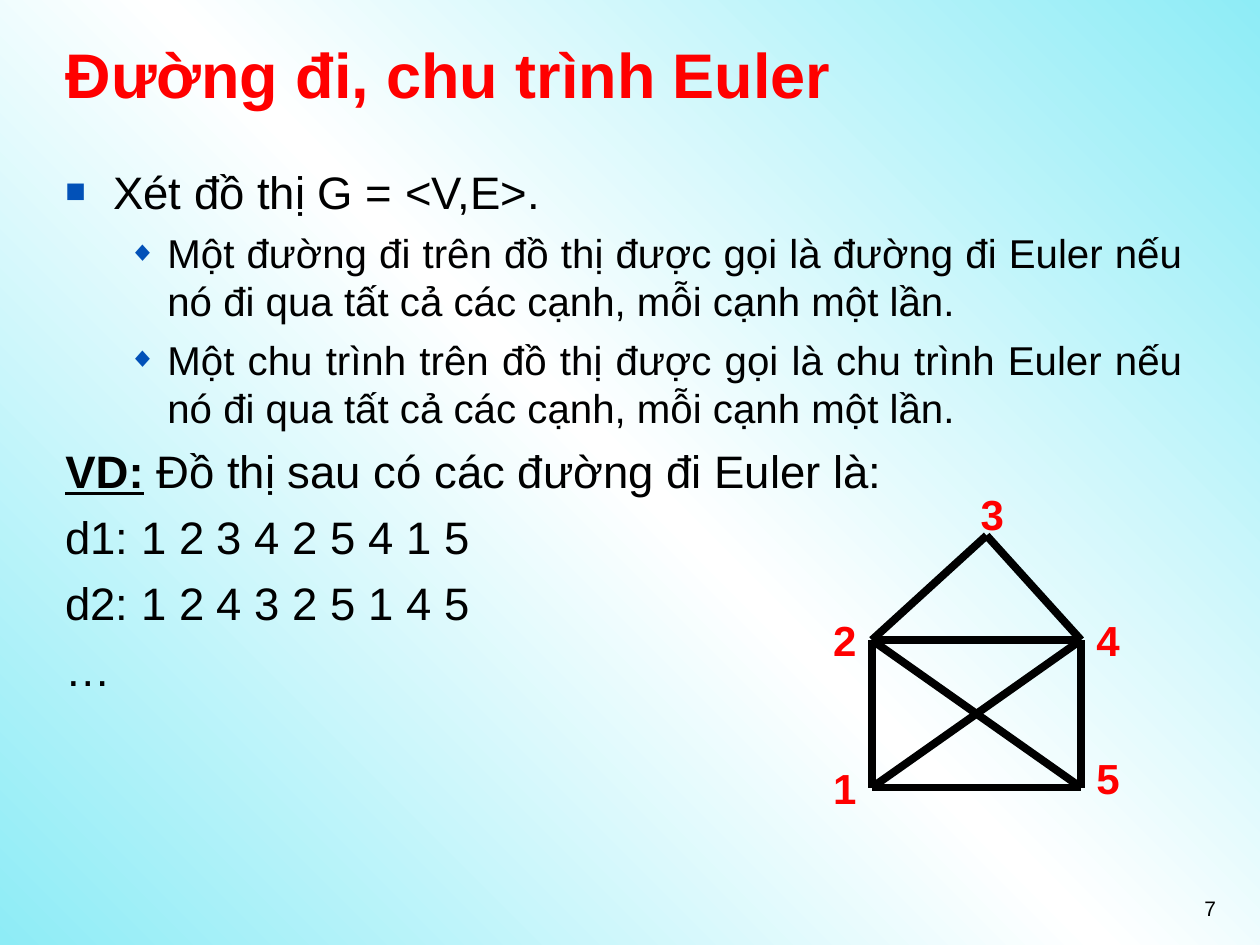
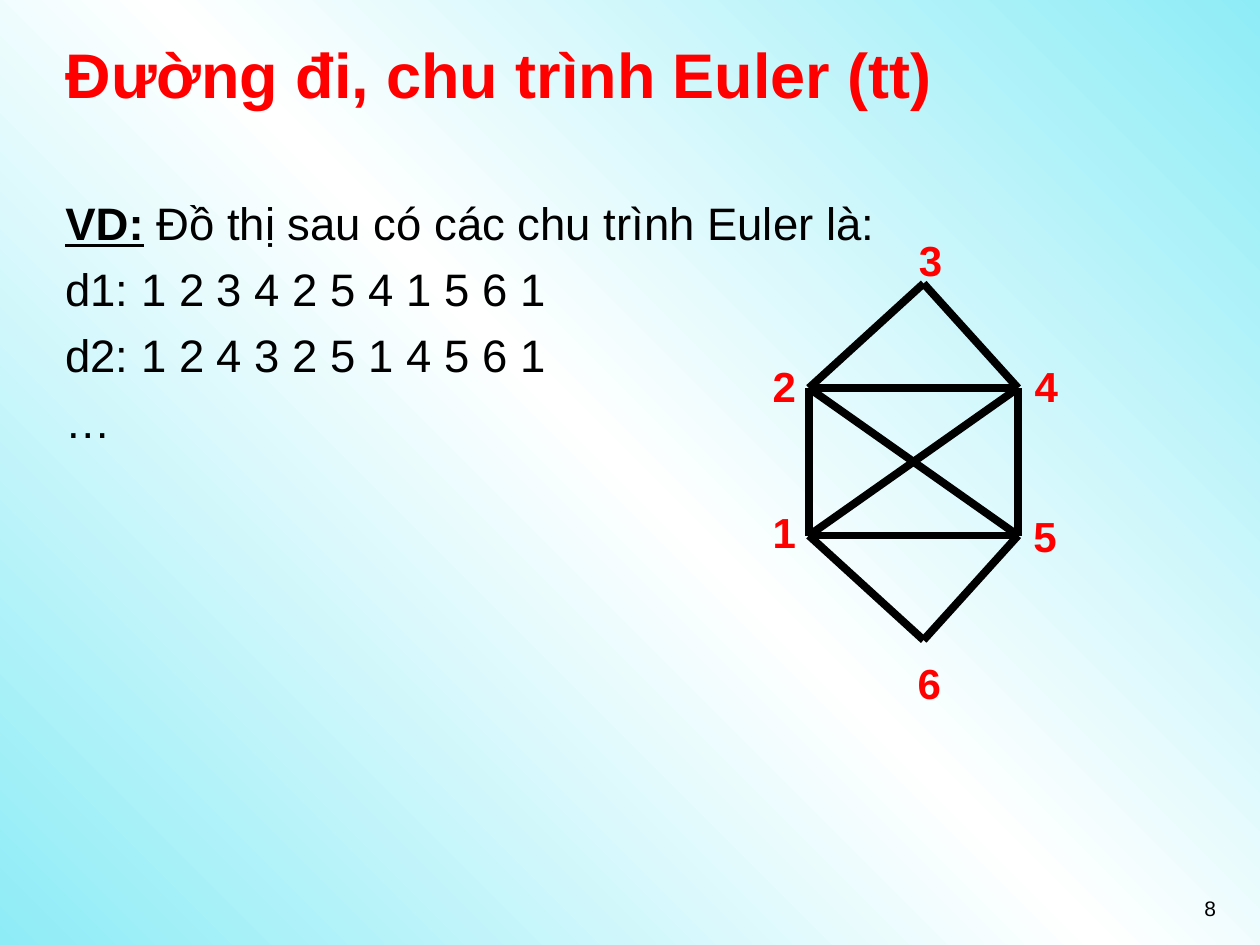
from copy import deepcopy
from dataclasses import dataclass

from lxml import etree
from pptx import Presentation
from pptx import util as u
from pptx.dml.color import RGBColor
from pptx.enum import shapes, text
from pptx.oxml.ns import qn


@dataclass(frozen=True)
class Theme:
    font: str = "Arial"
    red: str = "FF0000"
    black: str = "000000"
    bullet: str = "0251B8"
    cyan: str = "8EECF6"
    white: str = "FFFFFF"
    title_size: int = 36
    body_size: int = 26
    detail_size: int = 23
    vertex_size: int = 24
    number_size: int = 12
    edge_width: float = 4.5


theme = Theme()


def add_run(paragraph, wording, size, color, bold=False, underline=False):
    run = paragraph.add_run()
    run.text = wording
    font = run.font
    font.name, font.size = theme.font, u.Pt(size)
    font.bold, font.underline = bold, underline
    font.color.rgb = RGBColor.from_string(color)


def add_text_box(slide, left, top, width, height):
    box = slide.shapes.add_textbox(u.Inches(left), u.Inches(top), u.Inches(width), u.Inches(height))
    box.text_frame.word_wrap = True
    return box.text_frame


PLAIN = (theme.body_size, 0.38, -0.38, 6.5, None, None)
SQUARE = (theme.body_size, 0.38, -0.38, 6.5, "■", 75)
DIAMOND = (theme.detail_size, 0.81, -0.31, 5.8, "◆", 70)

VERTICES = {1: (0, 1.17), 2: (0, 0), 3: (0.91, -0.83), 4: (1.66, 0), 5: (1.66, 1.17), 6: (0.91, 2)}
HOUSE_EDGES = [(2, 1), (4, 5), (1, 5), (2, 4), (4, 3), (2, 3), (1, 4), (2, 5)]

slides = [
    {
        "title": "Đường đi, chu trình Euler",
        "number": "7",
        "body_top": 1.25,
        "body": [
            (SQUARE, "", "Xét đồ thị G = <V,E>."),
            (DIAMOND, "", "Một đường đi trên đồ thị được gọi là đường đi Euler nếu "
                          "nó đi qua tất cả các cạnh, mỗi cạnh một lần."),
            (DIAMOND, "", "Một chu trình trên đồ thị được gọi là chu trình Euler nếu "
                          "nó đi qua tất cả các cạnh, mỗi cạnh một lần."),
            (PLAIN, "VD:", " Đồ thị sau có các đường đi Euler là:"),
            (PLAIN, "", "d1: 1 2 3 4 2 5 4 1 5"),
            (PLAIN, "", "d2: 1 2 4 3 2 5 1 4 5"),
            (PLAIN, "", "…"),
        ],
        "graph_origin": (6.92, 5.08),
        "edges": HOUSE_EDGES,
        "labels": {1: (6.33, 6), 2: (6.33, 4.83), 3: (7.5, 3.83), 4: (8.42, 4.83), 5: (8.42, 5.92)},
    },
    {
        "title": "Đường đi, chu trình Euler (tt)",
        "number": "8",
        "body_top": 1.5,
        "body": [
            (PLAIN, "VD:", " Đồ thị sau có các chu trình Euler là:"),
            (PLAIN, "", "d1: 1 2 3 4 2 5 4 1 5 6 1"),
            (PLAIN, "", "d2: 1 2 4 3 2 5 1 4 5 6 1"),
            (PLAIN, "", "…"),
        ],
        "graph_origin": (6.42, 3.08),
        "edges": HOUSE_EDGES + [(5, 6), (1, 6)],
        "labels": {1: (5.85, 3.97), 2: (5.85, 2.81), 3: (7.01, 1.81), 4: (7.93, 2.81),
                   5: (7.92, 4), 6: (7, 5.17)},
    },
]

presentation = Presentation()
presentation.slide_width, presentation.slide_height = u.Inches(10), u.Inches(7.5)

master = presentation.slide_master
background = master.background.fill
background.gradient()
background.gradient_angle = 45
stop_list = master.element.xpath(".//p:bg//a:gsLst")[0]
stop_list.append(deepcopy(stop_list[0]))
for stop, position, color in zip(background.gradient_stops, (0, 0.5, 1),
                                 (theme.cyan, theme.white, theme.cyan)):
    stop.position = position
    stop.color.rgb = RGBColor.from_string(color)

for content in slides:
    slide = presentation.slides.add_slide(presentation.slide_layouts[5])

    title = slide.shapes.title
    title.left, title.top = u.Inches(0.42), u.Inches(0.17)
    title.width, title.height = u.Inches(9.08), u.Inches(0.83)
    title.text_frame.vertical_anchor = text.MSO_ANCHOR.MIDDLE
    title.text_frame.auto_size = text.MSO_AUTO_SIZE.NONE
    paragraph = title.text_frame.paragraphs[0]
    paragraph.alignment = text.PP_ALIGN.LEFT
    add_run(paragraph, content["title"], theme.title_size, theme.red, bold=True)

    body = add_text_box(slide, 0.42, content["body_top"], 9.08, 5.2)
    for index, (style, lead, wording) in enumerate(content["body"]):
        size, margin, indent, space, bullet, percent = style
        paragraph = body.add_paragraph() if index else body.paragraphs[0]
        paragraph.alignment = text.PP_ALIGN.JUSTIFY
        paragraph.space_before = u.Pt(space)
        paragraph.level = 1 if style is DIAMOND else 0
        if lead:
            add_run(paragraph, lead, size, theme.black, bold=True, underline=True)
        add_run(paragraph, wording, size, theme.black)
        properties = paragraph._p.get_or_add_pPr()
        properties.set("marL", str(u.Inches(margin)))
        properties.set("indent", str(u.Inches(indent)))
        if bullet:
            bullet_color = etree.SubElement(properties, qn("a:buClr"))
            etree.SubElement(bullet_color, qn("a:srgbClr"), val=theme.bullet)
            etree.SubElement(properties, qn("a:buSzPct"), val=str(percent * 1000))
            etree.SubElement(properties, qn("a:buFont"), typeface=theme.font)
            etree.SubElement(properties, qn("a:buChar"), char=bullet)
        else:
            etree.SubElement(properties, qn("a:buNone"))

    paragraph = add_text_box(slide, 7.42, 7.06, 2.33, 0.52).paragraphs[0]
    paragraph.alignment = text.PP_ALIGN.RIGHT
    add_run(paragraph, content["number"], theme.number_size, theme.black)

    left, top = content["graph_origin"]
    for start, end in content["edges"]:
        (start_x, start_y), (end_x, end_y) = VERTICES[start], VERTICES[end]
        edge = slide.shapes.add_connector(
            shapes.MSO_CONNECTOR.STRAIGHT,
            u.Inches(left + start_x), u.Inches(top + start_y),
            u.Inches(left + end_x), u.Inches(top + end_y))
        edge.line.color.rgb = RGBColor.from_string(theme.black)
        edge.line.width = u.Pt(theme.edge_width)
        etree.SubElement(edge._element.spPr, qn("a:effectLst"))

    for vertex, (label_left, label_top) in content["labels"].items():
        label = add_text_box(slide, label_left, label_top, 0.75, 0.5)
        label.auto_size = text.MSO_AUTO_SIZE.SHAPE_TO_FIT_TEXT
        paragraph = label.paragraphs[0]
        paragraph.alignment = text.PP_ALIGN.CENTER
        add_run(paragraph, str(vertex), theme.vertex_size, theme.red, bold=True)

presentation.save("out.pptx")
